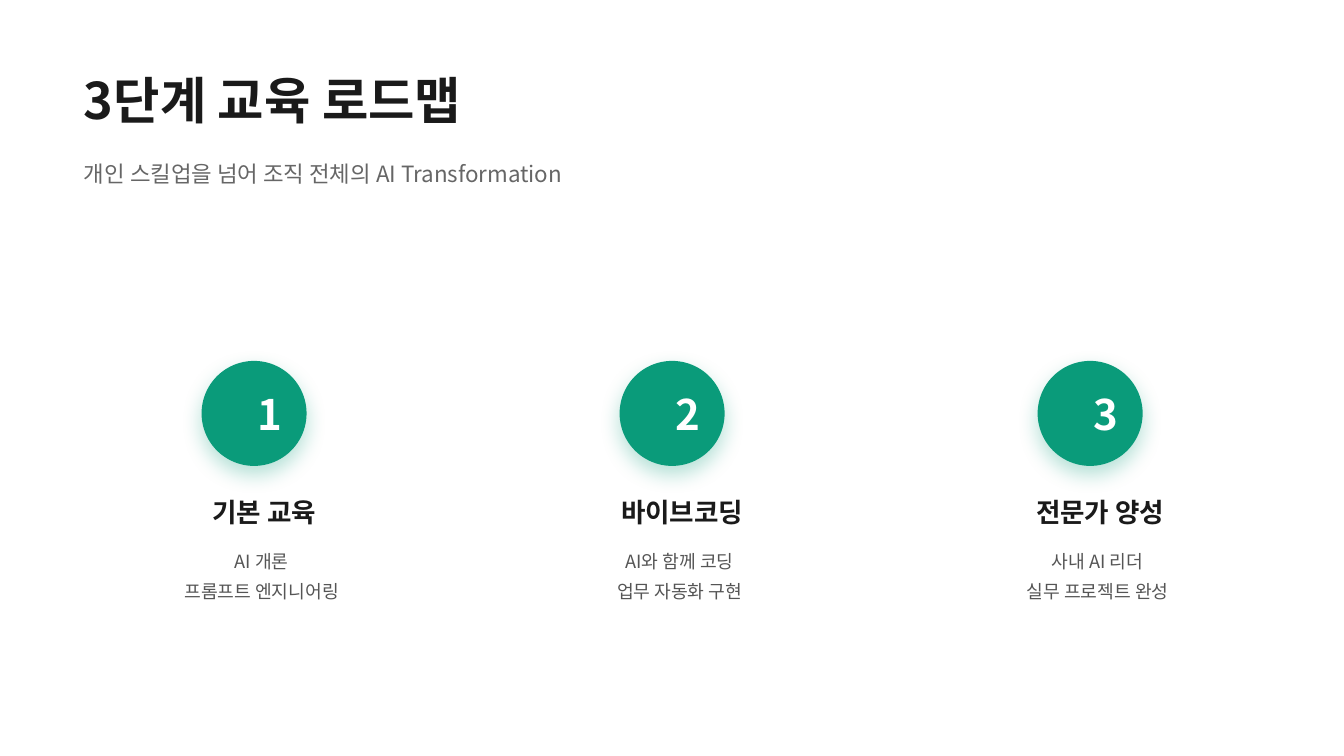
from lxml import etree
from pptx import Presentation
from pptx.dml.color import RGBColor
from pptx.enum.shapes import MSO_SHAPE
from pptx.enum.text import MSO_ANCHOR, PP_ALIGN
from pptx.oxml import parse_xml
from pptx.oxml.ns import nsdecls, qn
from pptx.util import Pt

OVAL = MSO_SHAPE.OVAL
MIDDLE = MSO_ANCHOR.MIDDLE
LEFT, CENTER = PP_ALIGN.LEFT, PP_ALIGN.CENTER

FONT = "Noto Sans CJK KR"
COLORS = {
    "background": "FFFFFF",
    "title": "1A1A1A",
    "subtitle": "666666",
    "detail": "555555",
    "accent": "0A9B7A",
    "number": "FFFFFF",
}
TITLE = "3단계 교육 로드맵"
SUBTITLE = "개인 스킬업을 넘어 조직 전체의 AI Transformation"
STEPS = [
    (("기본 교육", 92), [("AI 개론", 51), ("프롬프트 엔지니어링", 127)]),
    (("바이브코딩", 104), [("AI와 함께 코딩", 93), ("업무 자동화 구현", 104)]),
    (("전문가 양성", 110), [("사내 AI 리더", 80), ("실무 프로젝트 완성", 117)]),
]

MARGIN = 60
CIRCLE_LEFT, CIRCLE_TOP, CIRCLE_SIZE = 144, 257.8, 75
STEP_PITCH = 298.6
NUMBER_CENTER, HEADING_CENTER, DETAIL_CENTER = 48.5, 44.6, 42.8
DETAIL_TOP, DETAIL_PITCH = 391, 21.6


def add_text(slide, text, left, top, width, height, size, color, bold=False, align=LEFT):
    """Add a one-line text box without margins."""
    shape = slide.shapes.add_textbox(Pt(left), Pt(top), Pt(width), Pt(height))
    frame = shape.text_frame
    frame.margin_left = frame.margin_right = frame.margin_top = frame.margin_bottom = 0
    frame.vertical_anchor = MIDDLE
    paragraph = frame.paragraphs[0]
    paragraph.text = text
    paragraph.alignment = align
    font = paragraph.font
    font.name = FONT
    font.size = Pt(size)
    font.bold = bold
    font.color.rgb = RGBColor.from_string(COLORS[color])
    properties = paragraph._p.pPr.find(qn("a:defRPr"))
    etree.SubElement(properties, qn("a:ea")).set("typeface", FONT)


def add_circle(slide, left):
    """Add a step circle with a soft shadow below it."""
    circle = slide.shapes.add_shape(
        OVAL, Pt(left), Pt(CIRCLE_TOP), Pt(CIRCLE_SIZE), Pt(CIRCLE_SIZE))
    circle.fill.solid()
    circle.fill.fore_color.rgb = RGBColor.from_string(COLORS["accent"])
    circle.line.fill.background()
    circle.shadow.inherit = False
    effects = circle._element.spPr.find(qn("a:effectLst"))
    effects.append(parse_xml(
        f'<a:outerShdw {nsdecls("a")} blurRad="{Pt(15)}" dist="{Pt(6)}" '
        f'dir="5400000" algn="ctr" rotWithShape="0"><a:srgbClr val="{COLORS["accent"]}">'
        '<a:alpha val="30000"/></a:srgbClr></a:outerShdw>'))


def add_step(slide, index, heading, details):
    """Add one roadmap step: circle, number, heading and details."""
    left = CIRCLE_LEFT + index * STEP_PITCH

    def add_centered(text, center, top, width, height, size, color, bold=False):
        add_text(slide, text, left + center - width / 2, top, width, height,
                 size, color, bold, CENTER)

    add_circle(slide, left)
    add_centered(str(index + 1), NUMBER_CENTER, 273.6, 41, 43.2, 30, "number", True)
    title, width = heading
    add_centered(title, HEADING_CENTER, 351.4, width, 28, 19, "title", True)
    for row, (text, width) in enumerate(details):
        add_centered(text, DETAIL_CENTER, DETAIL_TOP + row * DETAIL_PITCH,
                     width, 19.4, 13, "detail")


def main():
    """Build and save the roadmap slide."""
    presentation = Presentation()
    presentation.slide_width, presentation.slide_height = Pt(960), Pt(540)
    slide = presentation.slides.add_slide(presentation.slide_layouts[6])
    slide.background.fill.solid()
    slide.background.fill.fore_color.rgb = RGBColor.from_string(COLORS["background"])
    add_text(slide, TITLE, MARGIN, 44.6, 302, 52.6, 36, "title", True)
    add_text(slide, SUBTITLE, MARGIN, 112.3, 371.5, 23.8, 16, "subtitle")
    for index, (heading, details) in enumerate(STEPS):
        add_step(slide, index, heading, details)
    presentation.save("out.pptx")


if __name__ == "__main__":
    main()
